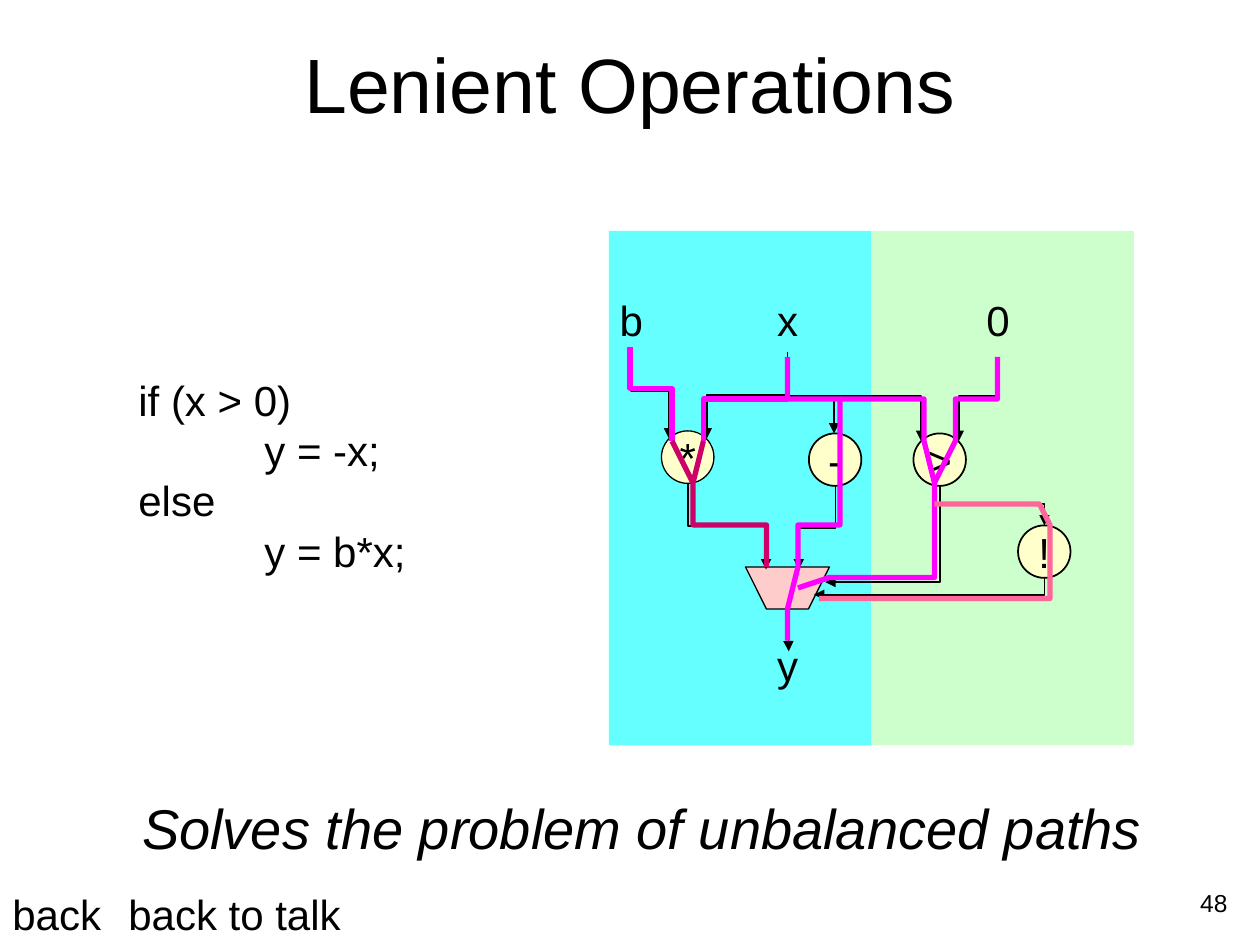
from lxml import etree
from pptx import Presentation
from pptx.dml.color import RGBColor
from pptx.enum.shapes import MSO_CONNECTOR, MSO_SHAPE
from pptx.enum.text import MSO_ANCHOR, MSO_AUTO_SIZE, PP_ALIGN
from pptx.oxml.ns import qn
from pptx.util import Inches, Pt

RECT, OVAL = MSO_SHAPE.RECTANGLE, MSO_SHAPE.OVAL
STRAIGHT, ELBOW = MSO_CONNECTOR.STRAIGHT, MSO_CONNECTOR.ELBOW
LEFT, CENTER, RIGHT = PP_ALIGN.LEFT, PP_ALIGN.CENTER, PP_ALIGN.RIGHT
TOP, MIDDLE = MSO_ANCHOR.TOP, MSO_ANCHOR.MIDDLE
FIXED, GROW = MSO_AUTO_SIZE.NONE, MSO_AUTO_SIZE.SHAPE_TO_FIT_TEXT
FONT = "Arial"
GRID = 12  # grid cells per inch
COLORS = {
    "black": "000000", "cyan": "66FFFF", "green": "CCFFCC", "cream": "FFFFCC",
    "pink": "FFCCCC", "magenta": "FF00FF", "crimson": "CC0066", "rose": "FF6699",
}

# Text: content, box in inches, format
CODE = ["if (x > 0)", "\ty = -x;", "else", "\ty = b*x;"]
LABEL = dict(fit=GROW)
TEXTS = [
    (["Lenient Operations"], (0.75, 0.5, 8.5, 0.31),
     dict(size=44, align=CENTER, anchor=MIDDLE, wrap=True)),
    (CODE, (1, 2.92, 2.32, 1.7), LABEL),
    (["b"], (4.82, 2.29, 0.38, 0.5), LABEL),
    (["x"], (6.07, 2.29, 0.36, 0.5), LABEL),
    (["0"], (7.73, 2.29, 0.38, 0.5), LABEL),
    (["y"], (6.07, 5.17, 0.36, 0.34), dict(spacing=0.6, fit=GROW)),
    (["Solves the problem of unbalanced paths"], (1.03, 6.25, 8.14, 0.64),
     dict(size=32, italic=True, fit=GROW)),
    (["back"], (0, 7, 0.92, 0.5), LABEL),
    (["back to talk"], (0.92, 7, 1.92, 0.5), LABEL),
    (["48"], (7.92, 7, 1.92, 0.5), dict(size=14, align=RIGHT, wrap=True)),
]

# Background panels: grid column, colour
PANELS = [(58, "cyan"), (83, "green")]
PANEL_TOP, PANEL_W, PANEL_H = 22, 25, 49

# Operators: symbol, left and top in inches, outline width
OPERATORS = [("*", 5.25, 3.42, 0.75), ("-", 6.42, 3.44, 1),
             (">", 7.25, 3.44, 1), ("!", 8.08, 4.17, 1)]
OPERATOR_D = 5 / GRID
MUX = [(71, 54), (79, 54), (77, 58), (73, 58)]

# Wires leaving downwards: start, end, share of the drop before the bend
# (None means a single corner)
WIRES = [
    ((6.25, 2.79), (5.61, 3.48), 0.5),
    ((5.01, 2.79), (5.31, 3.48), 0.455),
    ((5.46, 3.83), (6.08, 4.52), 0.5),
    ((7.46, 3.85), (8.29, 4.17), 0.475),
    ((8.29, 4.58), (6.46, 4.72), None),
    ((6.25, 2.83), (6.62, 3.44), 0.51),
    ((6.25, 2.83), (7.31, 3.5), 0.464),
    ((7.93, 2.83), (7.61, 3.5), 0.464),
    ((7.46, 3.86), (6.55, 4.62), None),
    ((6.63, 3.86), (6.34, 4.52), 0.5),
]
OUTPUT = ((6.25, 4.83), (6.26, 5.17))

# Highlighted signal paths: colour, grid points
SIGNALS = [
    ("magenta", [(75, 34), (75, 38), (80, 38), (80, 50), (76, 50), (76, 54),
                 (75, 58), (75, 61)]),
    ("magenta", [(80, 38), (88, 38), (88, 42), (89, 46), (89, 55), (79, 55),
                 (76, 56)]),
    ("magenta", [(95, 34), (95, 38), (91, 38), (91, 42), (89, 46)]),
    ("magenta", [(60, 33), (60, 37), (64, 37), (64, 42)]),
    ("magenta", [(75, 38), (67, 38), (67, 42)]),
    ("crimson", [(67, 42), (66, 46), (66, 50), (73, 50), (73, 54)]),
    ("crimson", [(64, 42), (66, 46)]),
    ("rose", [(89, 48), (99, 48), (100, 50), (100, 57), (78, 57)]),
]


def rgb(name):
    return RGBColor.from_string(COLORS[name])


def write(sp, lines, size=24, align=LEFT, anchor=TOP, wrap=False,
          italic=False, spacing=None, fit=FIXED):
    tf = sp.text_frame
    tf.word_wrap = wrap
    tf.auto_size = fit
    tf.vertical_anchor = anchor
    for i, line in enumerate(lines):
        p = tf.paragraphs[0] if i == 0 else tf.add_paragraph()
        p.alignment = align
        if spacing:
            p.line_spacing = spacing
        if "\t" in line:
            tabs = etree.SubElement(p._p.get_or_add_pPr(), qn("a:tabLst"))
            etree.SubElement(tabs, qn("a:tab"), pos=str(Inches(1)), algn="l")
        r = p.add_run()
        r.text = line
        r.font.name, r.font.size, r.font.italic = FONT, Pt(size), italic
        r.font.color.rgb = rgb("black")


def style(sp, fill=None, line=None, width=0.75):
    sp.shadow.inherit = False
    if fill:
        sp.fill.solid()
        sp.fill.fore_color.rgb = rgb(fill)
    else:
        sp.fill.background()
    if line:
        sp.line.color.rgb = rgb(line)
        sp.line.width = Pt(width)
    else:
        sp.line.fill.background()


def shape(s, kind, *box, **fmt):
    sp = s.shapes.add_shape(kind, *[Inches(v) for v in box])
    style(sp, **fmt)
    return sp


def outline(s, points, close=False, **fmt):
    fb = s.shapes.build_freeform(*points[0], scale=Inches(1) / GRID)
    fb.add_line_segments(points[1:], close=close)
    style(fb.convert_to_shape(), **fmt)


def arrow(s, kind, start, end, width):
    c = s.shapes.add_connector(kind, *[Inches(v) for v in (*start, *end)])
    c.line.color.rgb = rgb("black")
    c.line.width = Pt(width)
    etree.SubElement(c.line._get_or_add_ln(), qn("a:tailEnd"), type="triangle")
    etree.SubElement(c._element.spPr, qn("a:effectLst"))
    return c


def wire(s, start, end, bend):
    """An elbow is laid out sideways, then turned 90 degrees to run downwards."""
    (x1, y1), (x2, y2) = start, end
    cx, cy = (x1 + x2) / 2, (y1 + y2) / 2
    half_w, half_h = (y2 - y1) / 2, (x1 - x2) / 2
    c = arrow(s, ELBOW, (cx - half_w, cy - half_h), (cx + half_w, cy + half_h), 1)
    spPr = c._element.spPr
    spPr.find(qn("a:xfrm")).set("rot", str(90 * 60000))
    geom = spPr.find(qn("a:prstGeom"))
    if bend is None:
        geom.set("prst", "bentConnector2")
    else:
        etree.SubElement(geom.find(qn("a:avLst")), qn("a:gd"), name="adj1",
                         fmla=f"val {round(bend * 100000)}")


prs = Presentation()
prs.slide_width, prs.slide_height = Inches(10), Inches(7.5)
s = prs.slides.add_slide(prs.slide_layouts[6])

# Panels, text, operators and multiplexer
for col, color in PANELS:
    shape(s, RECT, *[v / GRID for v in (col, PANEL_TOP, PANEL_W, PANEL_H)],
          fill=color)
for lines, box, fmt in TEXTS:
    write(s.shapes.add_textbox(*[Inches(v) for v in box]), lines, **fmt)
for symbol, x, y, width in OPERATORS:
    sp = shape(s, OVAL, x, y, OPERATOR_D, OPERATOR_D,
               fill="cream", line="black", width=width)
    write(sp, [symbol], align=CENTER, anchor=MIDDLE)
outline(s, MUX, close=True, fill="pink", line="black")

# Wires, then the signals drawn over them
for start, end, bend in WIRES:
    wire(s, start, end, bend)
arrow(s, STRAIGHT, *OUTPUT, 0.75)
for color, points in SIGNALS:
    outline(s, points, line=color, width=3)

prs.save("out.pptx")
